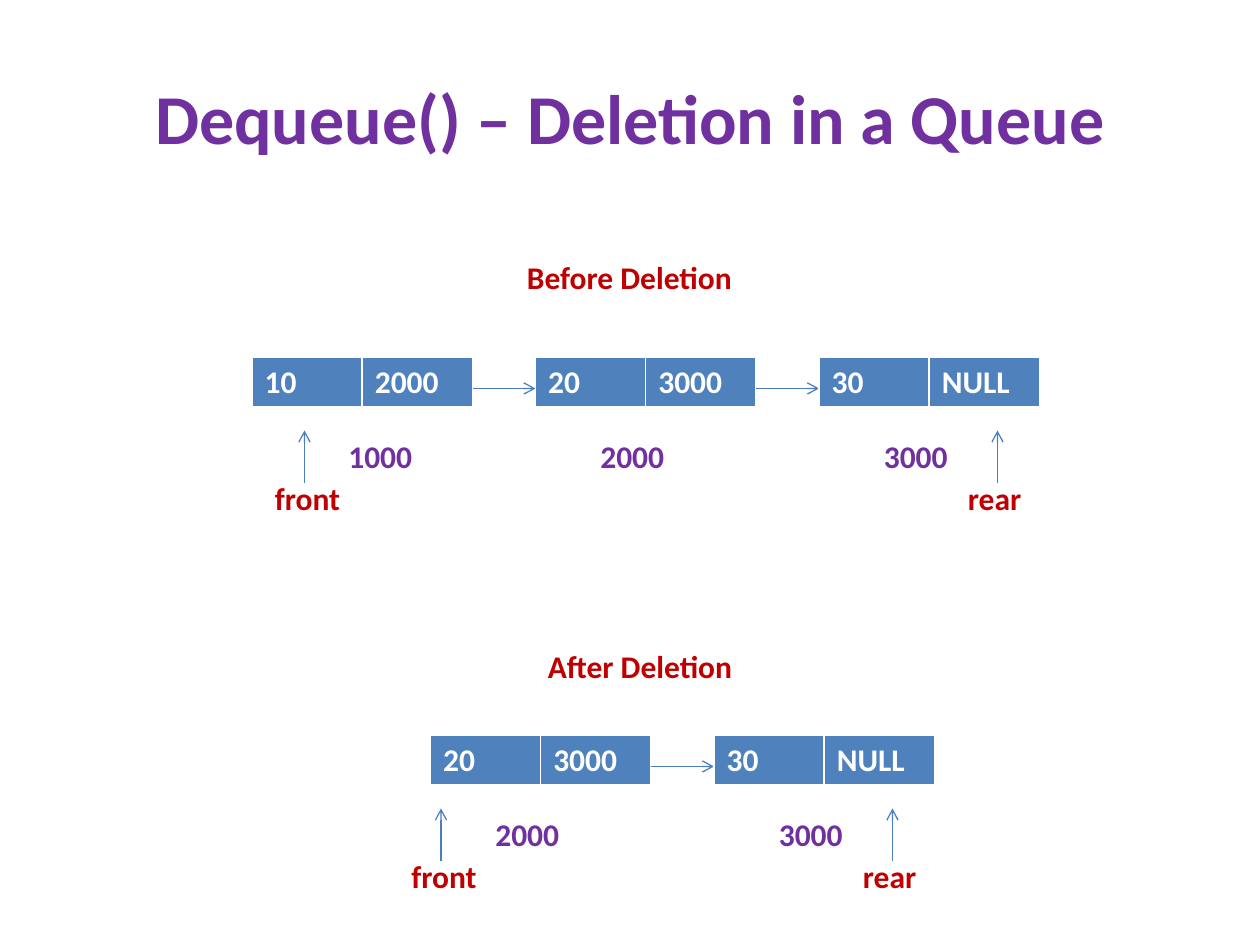
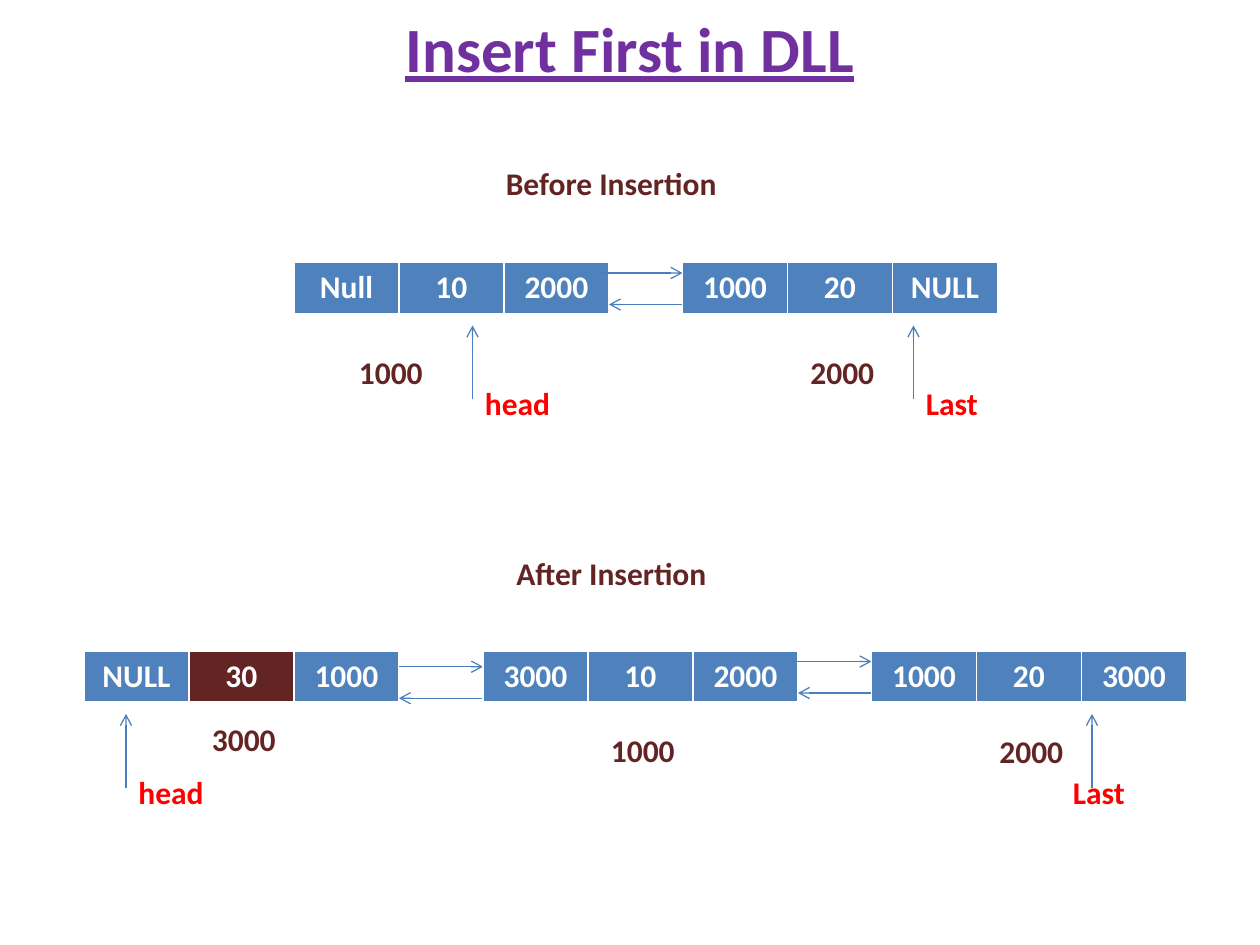
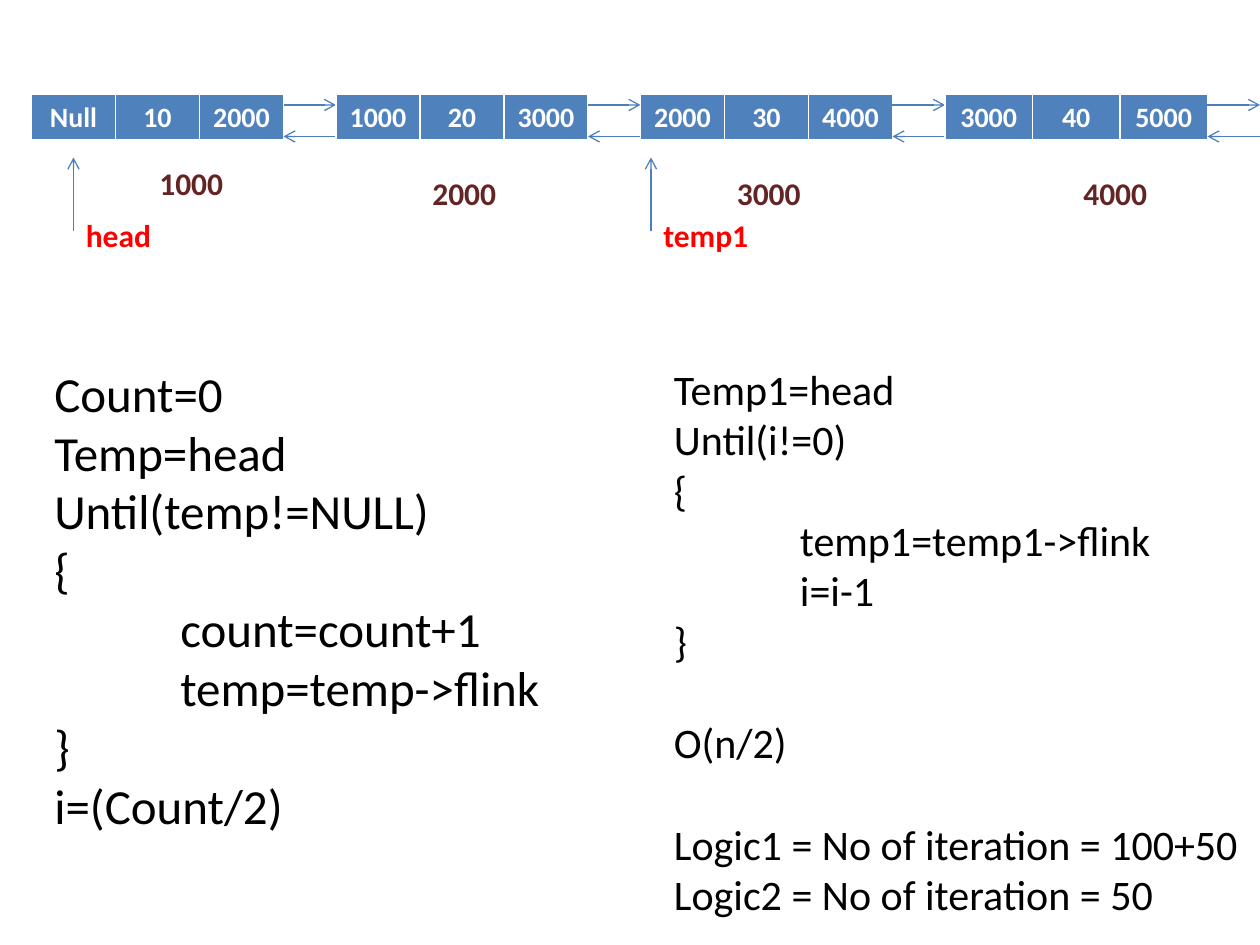
import dataclasses

import lxml.etree
import pptx
import pptx.dml.color
import pptx.enum.shapes
import pptx.enum.text
import pptx.oxml.ns
import pptx.util

Pt = pptx.util.Pt
RGB = pptx.dml.color.RGBColor.from_string
qn = pptx.oxml.ns.qn
ALIGN = pptx.enum.text.PP_ALIGN
ANCHOR = pptx.enum.text.MSO_ANCHOR


@dataclasses.dataclass(frozen=True)
class Theme:
    font: str = "Calibri"
    purple: str = "7030A0"
    crimson: str = "C00000"
    red: str = "FF0000"
    maroon: str = "632523"
    white: str = "FFFFFF"
    black: str = "000000"
    cell: str = "4F81BD"
    arrow: str = "4B7EBC"
    label_size: int = 18
    label_height: float = 29
    arrow_width: float = 0.75
    line_height: float = 1.22


THEME = Theme()


@dataclasses.dataclass(frozen=True)
class Node:
    """One list node; address_at and overlap are measured from its own edges."""
    cells: tuple
    address: str
    address_at: tuple
    width: float
    gap: float
    overlap: float = 0
    link_shift: float = 0
    highlight: int = -1


@dataclasses.dataclass(frozen=True)
class ChainStyle:
    """Look of a chain; vertical values are measured from the top of its nodes."""
    height: float
    cell_size: int
    align: object
    links: tuple
    address_colour: str
    pointer_colour: str
    pointer_foot: float
    pointer_tip: float
    label_top: float
    label_width: float


QUEUE = ChainStyle(29.5, 18, ALIGN.LEFT, ((18, True),), THEME.purple,
                   THEME.crimson, 72, 42, 66.4, 66)
DOUBLE = ChainStyle(30, 18, ALIGN.CENTER, ((6, True), (24, False)), THEME.maroon,
                    THEME.red, 78, 36, 66, 60)
SMALL_DOUBLE = dataclasses.replace(DOUBLE, height=26.6, cell_size=16, label_width=72)


def set_font(p, size, colour, **formats):
    values = {"name": THEME.font, "size": Pt(size), **formats}
    for r in p.runs:
        for name, value in values.items():
            setattr(r.font, name, value)
        r.font.color.rgb = RGB(colour)


def add_text_frame(slide, box):
    tf = slide.shapes.add_textbox(*map(Pt, box)).text_frame
    tf.word_wrap = True
    return tf


def add_label(slide, box, text, colour):
    p = add_text_frame(slide, box).paragraphs[0]
    p.text = text
    set_font(p, THEME.label_size, colour, bold=True)


def add_title(slide, box, text, size, underline=False):
    tf = add_text_frame(slide, box)
    tf.vertical_anchor = ANCHOR.MIDDLE
    p = tf.paragraphs[0]
    p.text = text
    p.alignment = ALIGN.CENTER
    set_font(p, size, THEME.purple, bold=True, underline=underline)


def add_code(slide, box, code, size):
    """Write lines of code: a tab indents a line, an empty line becomes a gap."""
    tf = add_text_frame(slide, box)
    p, gap = tf.paragraphs[0], 0
    for i, line in enumerate(code.splitlines()):
        if not line:
            gap = size * THEME.line_height
            continue
        if i:
            p = tf.add_paragraph()
        if gap:
            p.space_before = Pt(gap)
            gap = 0
        if line.startswith("\t"):
            p._p.get_or_add_pPr().set("marL", str(Pt(72)))
        p.text = line.lstrip("\t")
        set_font(p, size, THEME.black)


def add_arrow(slide, x1, y1, x2, y2):
    kind = pptx.enum.shapes.MSO_CONNECTOR.STRAIGHT
    sp = slide.shapes.add_connector(kind, *map(Pt, (x1, y1, x2, y2)))
    sp.line.color.rgb = RGB(THEME.arrow)
    sp.line.width = Pt(THEME.arrow_width)
    ln = sp.line._get_or_add_ln()
    lxml.etree.SubElement(ln, qn("a:tailEnd"), type="arrow")
    lxml.etree.SubElement(sp._element.spPr, qn("a:effectLst"))


def set_borders(cell):
    tcPr = cell._tc.get_or_add_tcPr()
    for side, width in {"L": 1, "R": 1, "T": 1, "B": 3}.items():
        ln = lxml.etree.SubElement(tcPr, qn(f"a:ln{side}"), w=str(Pt(width)))
        fill = lxml.etree.SubElement(ln, qn("a:solidFill"))
        lxml.etree.SubElement(fill, qn("a:srgbClr"), val=THEME.white)


def add_node(slide, x, y, node, style):
    count = len(node.cells)
    box = map(Pt, (x, y, node.width, style.height))
    table = slide.shapes.add_table(1, count, *box).table
    table.horz_banding = False
    for i, text in enumerate(node.cells):
        table.columns[i].width = Pt(node.width / count)
        cell = table.cell(0, i)
        set_borders(cell)
        cell.fill.solid()
        cell.fill.fore_color.rgb = RGB(THEME.maroon if i == node.highlight else THEME.cell)
        p = cell.text_frame.paragraphs[0]
        p.text = text
        p.alignment = style.align
        set_font(p, style.cell_size, THEME.white, bold=True)
    dx, dy = node.address_at
    add_label(slide, (x + dx, y + dy, style.label_width, THEME.label_height),
              node.address, style.address_colour)


def add_chain(slide, left, top, nodes, pointers, style):
    """Draw nodes from left to right; pointers are (name, offset, label shift)."""
    x = left
    for node in nodes:
        add_node(slide, x, top, node, style)
        right, following = x + node.width, x + node.width + node.gap
        if node.gap:
            for dy, forward in style.links:
                y = top + dy + node.link_shift
                if forward:
                    add_arrow(slide, right - node.overlap, y, following, y)
                else:
                    add_arrow(slide, following, y, right, y)
        x = following
    for name, offset, shift in pointers:
        px = left + offset
        add_arrow(slide, px, top + style.pointer_foot, px, top + style.pointer_tip)
        add_label(slide, (px + shift, top + style.label_top, style.label_width,
                          THEME.label_height), name, style.pointer_colour)


def build_dequeue(slide):
    add_title(slide, (36, 21.6, 648, 90), "Dequeue() – Deletion in a Queue", 40)
    first = Node(("10", "2000"), "1000", (48, 42), 126, 36)
    second = Node(("20", "3000"), "2000", (30, 42), 126, 36)
    third = Node(("30", "NULL"), "3000", (30, 42), 126, 0)
    add_label(slide, (294, 144, 162, THEME.label_height), "Before Deletion", THEME.crimson)
    add_chain(slide, 144, 204, (first, second, third),
              (("front", 30, -24), ("rear", 426, -24)), QUEUE)
    add_label(slide, (306, 366, 162, THEME.label_height), "After Deletion", THEME.crimson)
    add_chain(slide, 246, 420, (second, third),
              (("front", 6, -24), ("rear", 264, -24)), QUEUE)


def build_insert_first(slide):
    add_title(slide, (36, -18, 648, 90), "Insert First in DLL", 36, underline=True)
    add_label(slide, (282, 90, 156, THEME.label_height), "Before Insertion", THEME.maroon)
    before = (
        Node(("Null", "10", "2000"), "1000", (30, 48), 180, 42, overlap=6),
        Node(("1000", "20", "NULL"), "2000", (66, 48), 180, 0),
    )
    add_chain(slide, 168, 150, before, (("head", 102, 0), ("Last", 354, 0)), DOUBLE)
    add_label(slide, (288, 313, 156, THEME.label_height), "After Insertion", THEME.maroon)
    after = (
        Node(("NULL", "30", "1000"), "3000", (66, 36), 180, 48, link_shift=3, highlight=1),
        Node(("3000", "10", "2000"), "1000", (66, 42), 180, 42, overlap=6),
        Node(("1000", "20", "3000"), "2000", (66, 42.5), 180, 0),
    )
    add_chain(slide, 48, 372, after, (("head", 24, 0), ("Last", 576, -18)), DOUBLE)


COUNT_CODE = """Count=0
Temp=head
Until(temp!=NULL)
{
\tcount=count+1
\ttemp=temp->flink
}
i=(Count/2)"""

MIDDLE_CODE = """Temp1=head
Until(i!=0)
{
\ttemp1=temp1->flink
\ti=i-1
}

O(n/2)

Logic1 = No of iteration = 100+50
Logic2 = No of iteration = 50"""


def build_find_middle(slide):
    nodes = (
        Node(("Null", "10", "2000"), "1000", (66, 36), 144, 30),
        Node(("1000", "20", "3000"), "2000", (48, 42), 144, 30),
        Node(("2000", "30", "4000"), "3000", (48, 42), 144, 30),
        Node(("3000", "40", "5000"), "4000", (72, 42), 150, 30),
    )
    add_chain(slide, 18, 54, nodes, (("head", 24, 0), ("temp1", 354, 0)), SMALL_DOUBLE)
    add_code(slide, (24, 204, 440, 312), COUNT_CODE, 28)
    add_code(slide, (378, 204, 372, 356), MIDDLE_CODE, 24)


def main():
    prs = pptx.Presentation()
    prs.slide_width, prs.slide_height = Pt(720), Pt(540)
    for build in (build_dequeue, build_insert_first, build_find_middle):
        build(prs.slides.add_slide(prs.slide_layouts[6]))
    prs.save("out.pptx")


if __name__ == "__main__":
    main()
